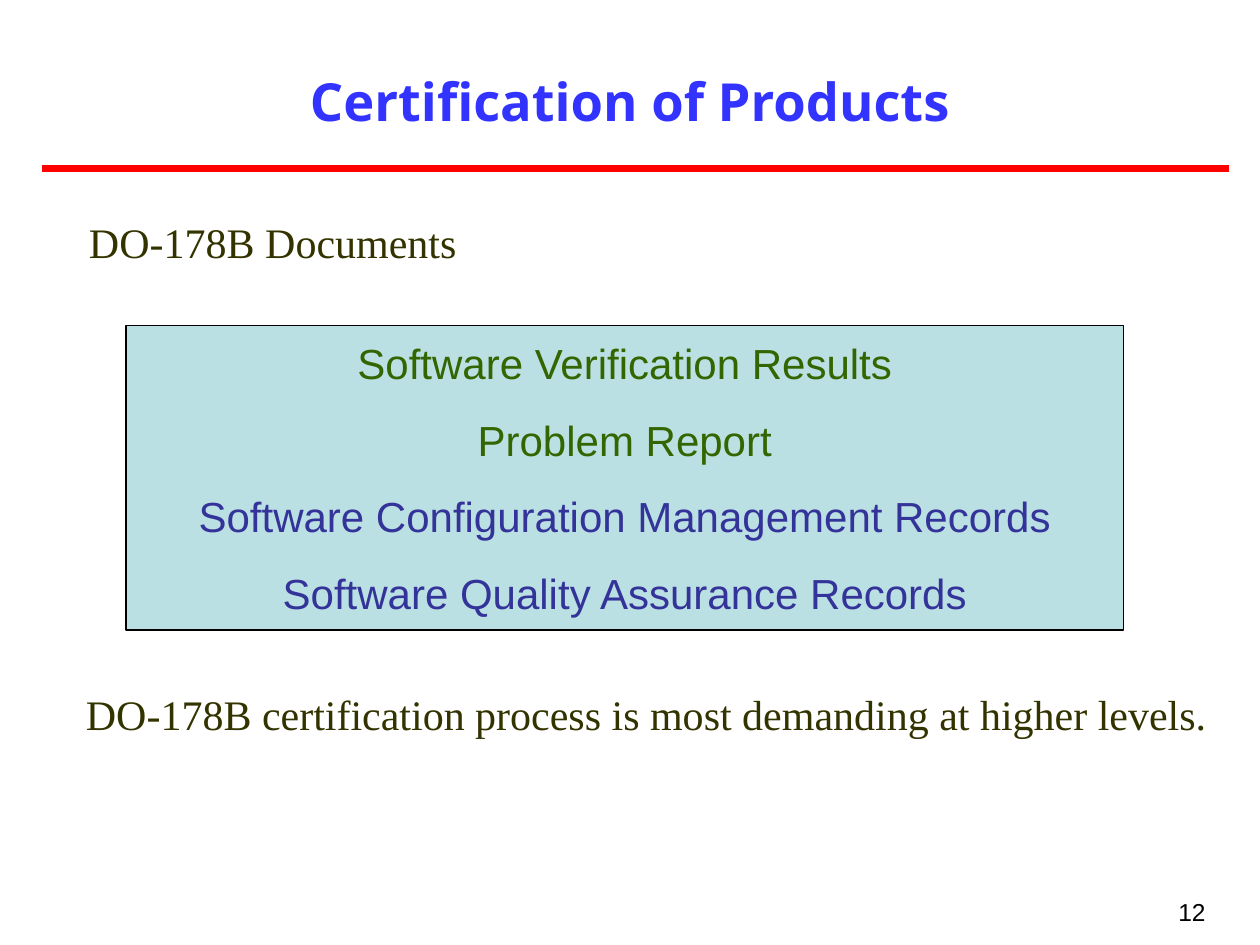
from dataclasses import dataclass

from lxml import etree
from pptx import Presentation
from pptx.dml.color import RGBColor
from pptx.enum.shapes import MSO_CONNECTOR, MSO_SHAPE
from pptx.enum.text import MSO_ANCHOR, PP_ALIGN
from pptx.oxml.ns import qn
from pptx.util import Inches, Pt

LEFT, MID, RIGHT, JUST = PP_ALIGN.LEFT, PP_ALIGN.CENTER, PP_ALIGN.RIGHT, PP_ALIGN.JUSTIFY
TOP, CENTRE = MSO_ANCHOR.TOP, MSO_ANCHOR.MIDDLE
RECT, LINE = MSO_SHAPE.RECTANGLE, MSO_CONNECTOR.STRAIGHT
WIDE, HIGH = 10, 7.5
COLS, ROWS = 120, 90


@dataclass(frozen=True)
class Theme:
    """Colours, fonts and type sizes."""
    title: str = "3333FF"
    rule: str = "FF0000"
    body: str = "333300"
    panel: str = "BBE0E3"
    ink: str = "000000"
    green: str = "336600"
    blue: str = "333399"
    head: str = "Open Sans"
    serif: str = "Times New Roman"
    sans: str = "Arial"
    big: int = 30
    text: int = 24
    small: int = 14
    gap: int = 15


class Deck:
    """Draws on one slide, placing parts on a grid of 120 columns by 90 rows."""

    def __init__(self, theme):
        """Open a deck with one title-only slide."""
        self.theme = theme
        self.file = Presentation()
        self.file.slide_width, self.file.slide_height = Inches(WIDE), Inches(HIGH)
        self.slide = self.file.slides.add_slide(self.file.slide_layouts[5])

    def place(self, *cells):
        """Turn grid columns and rows into lengths."""
        steps = (WIDE / COLS, HIGH / ROWS) * 2
        return [Inches(cell * step) for cell, step in zip(cells, steps)]

    def fill(self, frame, lines, font, size, align=LEFT, bold=False, wrap=True, anchor=TOP):
        """Fill a frame with lines, each a pair of words and colour."""
        frame.word_wrap, frame.vertical_anchor = wrap, anchor
        for count, (words, tint) in enumerate(lines):
            para = frame.add_paragraph() if count else frame.paragraphs[0]
            para.alignment, para.space_before = align, Pt(self.theme.gap)
            run = para.add_run()
            run.text = words
            run.font.name, run.font.size, run.font.bold = font, Pt(size), bold
            run.font.color.rgb = RGBColor.from_string(tint)

    def title(self, cells, words):
        """Move and fill the title placeholder."""
        shape, look = self.slide.shapes.title, self.theme
        shape.left, shape.top, shape.width, shape.height = self.place(*cells)
        self.fill(shape.text_frame, [(words, look.title)], look.head, look.big, MID, True)

    def text(self, cells, words, tint, font, size, align=LEFT, inset=0.1):
        """Add a text box."""
        frame = self.slide.shapes.add_textbox(*self.place(*cells)).text_frame
        frame.margin_left = Inches(inset)
        self.fill(frame, [(words, tint)], font, size, align)

    def rule(self, start, end, row, tint, width):
        """Add a level line."""
        line = self.slide.shapes.add_connector(LINE, *self.place(start, row, end, row))
        line.line.color.rgb, line.line.width = RGBColor.from_string(tint), Pt(width)
        etree.SubElement(line._element.spPr, qn("a:effectLst"))

    def panel(self, cells, lines):
        """Add a filled rectangle with centred lines."""
        look = self.theme
        shape = self.slide.shapes.add_shape(RECT, *self.place(*cells))
        shape.shadow.inherit = False
        shape.fill.solid()
        shape.fill.fore_color.rgb = RGBColor.from_string(look.panel)
        shape.line.color.rgb, shape.line.width = RGBColor.from_string(look.ink), Pt(0.75)
        self.fill(shape.text_frame, lines, look.sans, look.text, MID, wrap=False, anchor=CENTRE)


def main():
    """Build and save the slide."""
    look = Theme()
    deck = Deck(look)
    deck.text((88, 84.8, 28, 7), "12", look.ink, look.sans, look.small, RIGHT)
    deck.text((5, 20, 109, 6), "DO-178B Documents", look.body, look.serif, look.text, JUST, 0.29)
    deck.title((3, 6, 114, 7.2), "Certification of Products")
    deck.rule(4, 117, 16.05, look.rule, 4.5)
    deck.panel((12, 31, 95, 29), [
        ("Software Verification Results", look.green),
        ("Problem Report", look.green),
        ("Software Configuration Management Records", look.blue),
        ("Software Quality Assurance Records", look.blue),
    ])
    deck.text((7, 65, 113, 13.3),
              "DO-178B certification process is most demanding at higher levels.",
              look.body, look.serif, look.text)
    deck.file.save("out.pptx")


if __name__ == "__main__":
    main()
